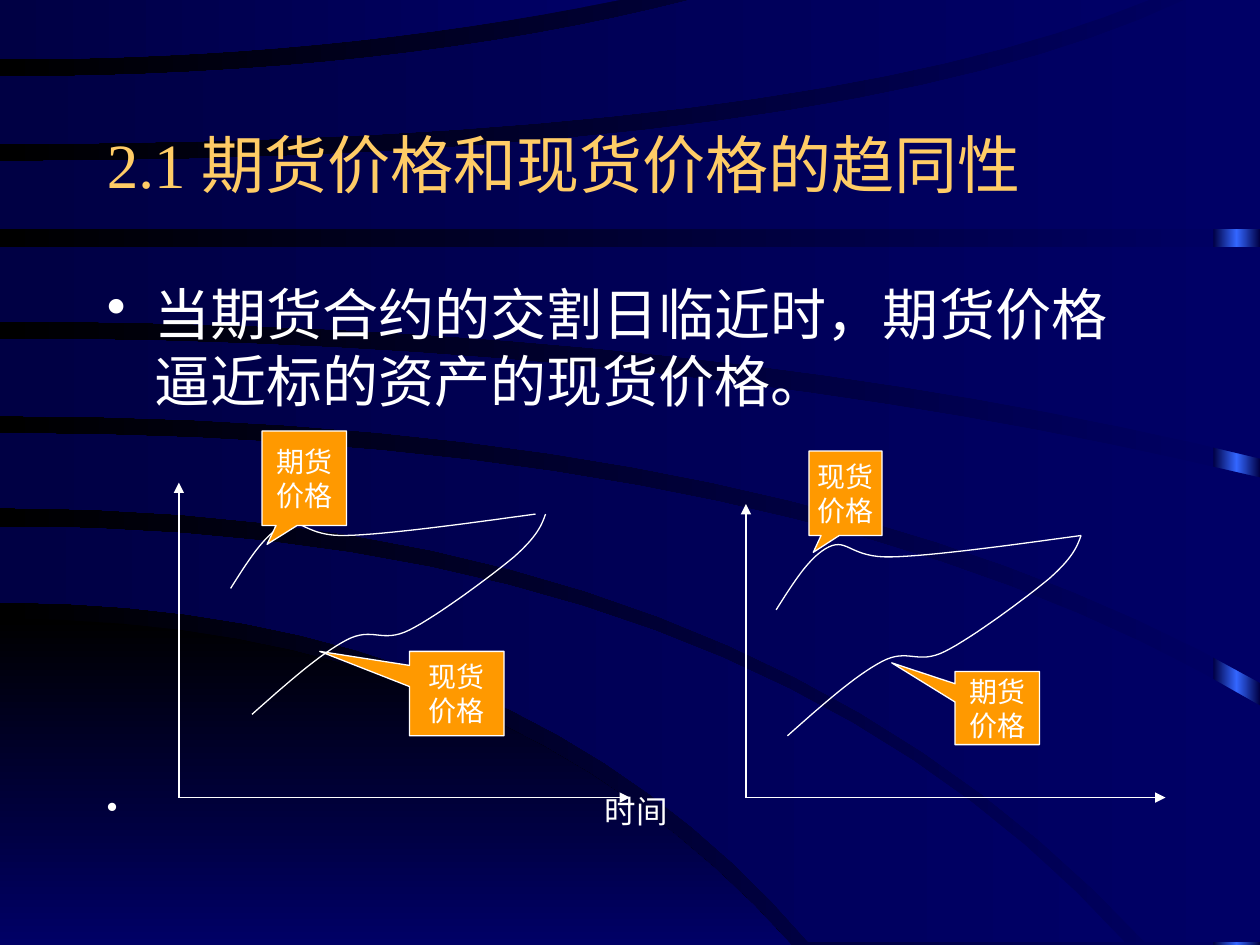
import pptx
import pptx.dml.color
import pptx.enum.shapes
import pptx.enum.text
import pptx.oxml
import pptx.oxml.ns
import pptx.util
import copy
import math
from pptx.util import Inches

COLORS = {"navy": "000066", "deep": "000044", "black": "000000", "glow": "3366FF",
          "gold": "FFCC66", "white": "FFFFFF", "orange": "FF9900"}

# Bezier nodes of the two price curves of the left chart.
LOWER_CURVE = [(2, 5.67), (2.27, 5.43), (2.54, 5.19), (2.75, 5.08), (2.96, 4.97), (3.03, 5.11),
               (3.25, 5), (3.47, 4.89), (3.9, 4.57), (4.08, 4.42), (4.26, 4.26), (4.3, 4.17),
               (4.33, 4.08)]
UPPER_CURVE = [(1.83, 4.67), (1.97, 4.45), (2.1, 4.24), (2.25, 4.17), (2.4, 4.1), (2.42, 4.26),
               (2.75, 4.25), (3.08, 4.24), (3.67, 4.16), (4.25, 4.08)]


def rgb(name):
    return pptx.dml.color.RGBColor.from_string(COLORS[name])


def bezier(nodes, degree, steps=16):
    """Sample a chain of Bezier segments that share their end nodes."""
    points = [nodes[0]]
    for i in range(0, len(nodes) - 1, degree):
        for t in (step / steps for step in range(1, steps + 1)):
            weights = [math.comb(degree, k) * t ** k * (1 - t) ** (degree - k)
                       for k in range(degree + 1)]
            points.append(tuple(sum(w * node[axis] for w, node in zip(weights, nodes[i:]))
                                for axis in (0, 1)))
    return points


def sweep(start_y, bend_x, end_x, end_y):
    """Edge that leaves the left side of the slide level and bends to its end."""
    return bezier([(0, start_y), (bend_x, start_y), (end_x, end_y)], 2)


class Deck:
    font_name = "Times New Roman"
    line_width = pptx.util.Pt(0.75)

    def __init__(self, slide):
        self.slide = slide
        self.shapes = slide.shapes

    def gradient(self, fill, names, angle=180):
        fill.gradient()
        fill.gradient_angle = angle
        for stop, name in zip(fill.gradient_stops, names):
            stop.color.rgb = rgb(name)

    def stroke(self, line):
        line.color.rgb = rgb("white")
        line.width = self.line_width

    def outline(self, points, close):
        start, *rest = [(Inches(x), Inches(y)) for x, y in points]
        builder = self.shapes.build_freeform(*start)
        builder.add_line_segments(rest, close=close)
        shape = builder.convert_to_shape()
        shape.shadow.inherit = False
        return shape

    def band(self, points, names=("navy", "deep"), angle=180):
        shape = self.outline(points, True)
        self.gradient(shape.fill, names, angle)
        shape.line.fill.background()

    def glow_strip(self, *box):
        strip = self.shapes.add_shape(pptx.enum.shapes.MSO_SHAPE.RECTANGLE, *map(Inches, box))
        strip.shadow.inherit = False
        strip.line.fill.background()
        self.gradient(strip.fill, ("deep", "glow"))
        first, middle = strip.element.spPr.iter(pptx.oxml.ns.qn("a:gs"))
        last = copy.deepcopy(first)
        middle.addnext(last)
        middle.set("pos", "50000")
        last.set("pos", "100000")

    def curve(self, nodes, dx, dy):
        shape = self.outline([(x + dx, y + dy) for x, y in bezier(nodes, 3)], False)
        shape.fill.background()
        self.stroke(shape.line)

    def axis(self, *ends):
        arrow = self.shapes.add_connector(pptx.enum.shapes.MSO_CONNECTOR.STRAIGHT,
                                          *map(Inches, ends))
        self.stroke(arrow.line)
        ns = pptx.oxml.ns.nsdecls("a")
        properties = arrow.element.spPr
        properties.find(pptx.oxml.ns.qn("a:ln")).append(
            pptx.oxml.parse_xml(f'<a:tailEnd {ns} type="triangle"/>'))
        properties.append(pptx.oxml.parse_xml(f"<a:effectLst {ns}/>"))

    def style(self, paragraph, size, color, **formats):
        for key, value in formats.items():
            setattr(paragraph, key, value)
        for run in paragraph.runs:
            for key, value in {"name": self.font_name, "size": pptx.util.Pt(size)}.items():
                setattr(run.font, key, value)
            run.font.color.rgb = rgb(color)

    def text(self, box, content, anchor=pptx.enum.text.MSO_ANCHOR.TOP):
        frame = self.shapes.add_textbox(*map(Inches, box)).text_frame
        frame.word_wrap = True
        frame.vertical_anchor = anchor
        frame.text = content
        return frame.paragraphs

    def bullet(self, paragraph, indent):
        """Hang the paragraph's text the given inches behind a white bullet."""
        properties = paragraph._p.get_or_add_pPr()
        properties.set("marL", str(Inches(indent)))
        properties.set("indent", str(-Inches(indent)))
        ns = pptx.oxml.ns.nsdecls("a")
        for xml in (f'<a:buClr {ns}><a:srgbClr val="{COLORS["white"]}"/></a:buClr>',
                    f'<a:buChar {ns} char="•"/>'):
            properties.append(pptx.oxml.parse_xml(xml))

    def callout(self, box, tip, content):
        shape = self.shapes.add_shape(pptx.enum.shapes.MSO_SHAPE.RECTANGULAR_CALLOUT,
                                      *map(Inches, box))
        shape.shadow.inherit = False
        shape.adjustments[0], shape.adjustments[1] = tip
        shape.fill.solid()
        shape.fill.fore_color.rgb = rgb("orange")
        self.stroke(shape.line)
        frame = shape.text_frame
        frame.word_wrap = False
        frame.vertical_anchor = pptx.enum.text.MSO_ANCHOR.MIDDLE
        frame.text = content
        for paragraph in frame.paragraphs:
            self.style(paragraph, 16, "white", alignment=pptx.enum.text.PP_ALIGN.CENTER)


def draw_backdrop(deck):
    deck.gradient(deck.slide.background.fill, ("navy", "black"))
    deck.glow_strip(9.63, 0, 0.37, 7.5)
    deck.band(sweep(4.91, 3.97, 6.28, 7.5) + [(0, 7.5)], ("black", "navy"), 270)
    # Upper edge, corners at the right, lower edge.
    for upper, corners, lower in (
            (sweep(4.18, 5.93, 8.93, 7.48), [], sweep(4.78, 4.11, 6.42, 7.48)),
            (sweep(3.44, 6.4, 10, 5.6), [(10, 7.48)], sweep(4.03, 5.9, 9.09, 7.48)),
            (sweep(2.69, 5.4, 10, 3.79), [], sweep(3.3, 6.3, 10, 5.42)),
            ([(0, 1.96), (10, 1.96)], [], sweep(2.55, 5.6, 10, 3.64)),
            (sweep(1.28, 6.7, 9.4, 0), [(10, 0)], [(0, 1.82), (10, 1.82)]),
            (sweep(0.61, 3.1, 5.48, 0), [], sweep(1.14, 6.35, 9.12, 0)),
            ([(0, 0)], [], sweep(0.47, 2.6, 4.92, 0))):
        deck.band(upper + corners + lower[::-1])


def main():
    prs = pptx.Presentation()
    prs.slide_width, prs.slide_height = Inches(10), Inches(7.5)
    deck = Deck(prs.slides.add_slide(prs.slide_layouts[6]))
    draw_backdrop(deck)

    title, = deck.text((0.75, 0.67, 8.5, 1.25), "2.1 期货价格和现货价格的趋同性",
                       pptx.enum.text.MSO_ANCHOR.MIDDLE)
    deck.style(title, 36, "gold")
    statement, time_label = deck.text(
        (0.75, 2.17, 8.5, 4.5), "当期货合约的交割日临近时，期货价格逼近标的资产的现货价格。\n时间")
    deck.style(statement, 32, "white")
    deck.bullet(statement, 0.38)
    deck.style(time_label, 18, "white", space_before=pptx.util.Pt(216))
    deck.bullet(time_label, 3.95)

    for x, right, top in ((1.42, 5, 3.83), (5.92, 9.25, 4)):
        deck.axis(x, 6.33, right, 6.33)
        deck.axis(x, 6.33, x, top)
    for lower_dx, upper_dx, dy in ((0, 0, 0), (4.25, 4.33, 0.17)):
        deck.curve(LOWER_CURVE, lower_dx, dy)
        deck.curve(UPPER_CURVE, upper_dx, dy)

    futures, spot = "期货\n价格", "现货\n价格"
    for box, tip, content in (
            ((2.08, 3.42, 0.67, 0.75), (-0.44, 0.7), futures),
            ((3.25, 5.17, 0.75, 0.67), (-1.45, -0.5), spot),
            ((6.42, 3.58, 0.58, 0.67), (-0.44, 0.7), spot),
            ((7.58, 5.33, 0.67, 0.58), (-1.25, -0.62), futures)):
        deck.callout(box, tip, content)

    prs.save("out.pptx")


if __name__ == "__main__":
    main()
